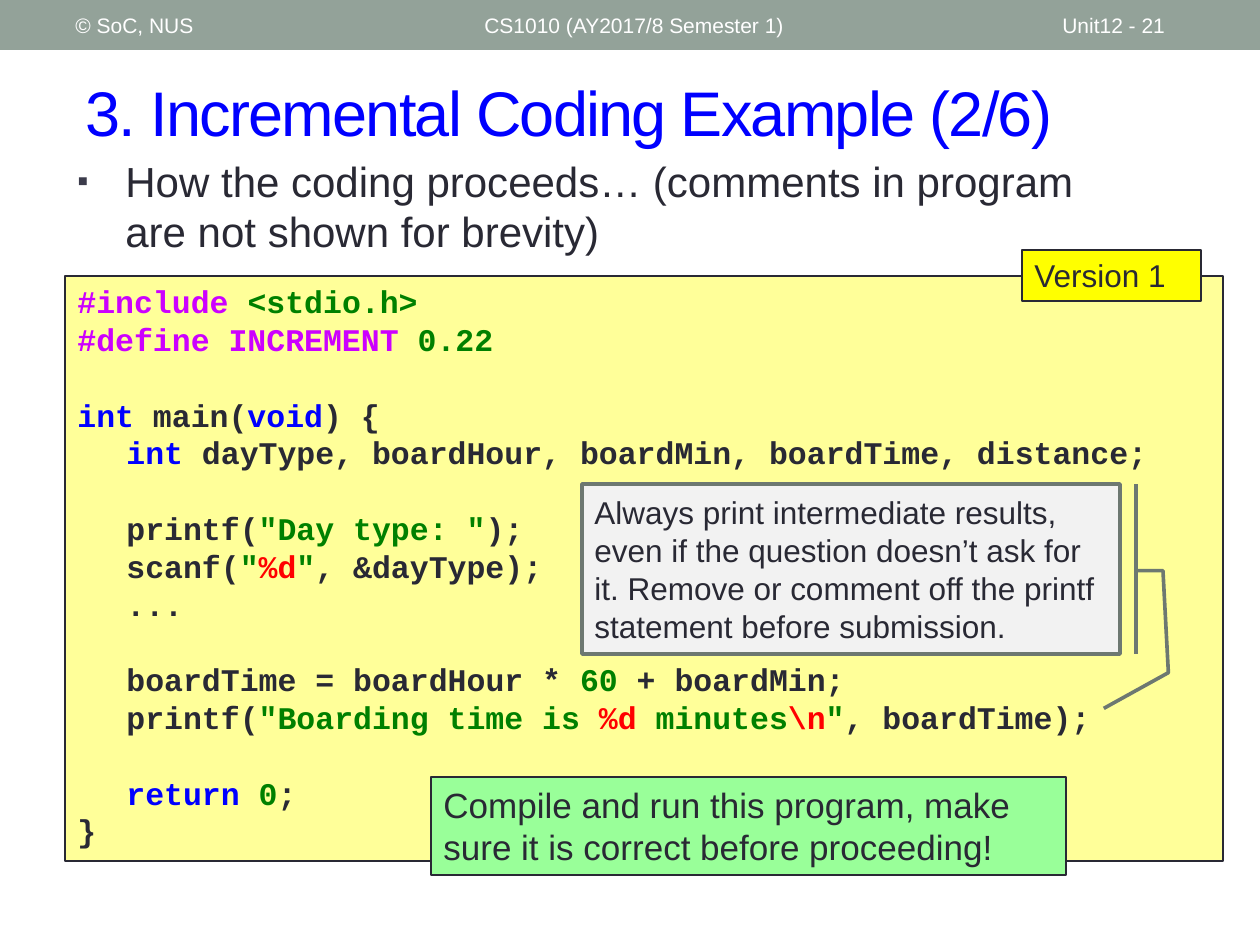
from lxml.etree import SubElement
from pptx import Presentation
from pptx.dml.color import RGBColor
from pptx.enum.shapes import MSO_SHAPE as Preset
from pptx.enum.text import MSO_ANCHOR as Anchor, MSO_AUTO_SIZE as AutoSize, PP_ALIGN as Align
from pptx.oxml.ns import qn
from pptx.util import Emu, Pt

SCALE = 914400 // 126
COLORS = {
    "band": "93A299", "white": "FFFFFF", "ink": "292934", "bullet": "3B3B4B",
    "code": "FFFF99", "version": "FFFF00", "advice": "F2F2F2", "rule": "6D7871",
    "action": "99FF99", "keyword": "0000FF", "directive": "CC00FF",
    "literal": "008000", "escape": "FF0000",
}
TAB_STOPS = (49, 95, 144)
BLANK_LINE = 21.6
CODE = [
    (0, [("#include ", "directive"), ("<stdio.h>", "literal")]),
    (0, [("#define INCREMENT ", "directive"), ("0.22", "literal")]),
    (1, [("int", "keyword"), (" main(", "ink"), ("void", "keyword"), (") {", "ink")]),
    (0, [("\t", "ink"), ("int", "keyword"),
         (" dayType, boardHour, boardMin, boardTime, distance;", "ink")]),
    (1, [("\tprintf(", "ink"), ('"Day type: "', "literal"), (");", "ink")]),
    (0, [("\tscanf(", "ink"), ('"', "literal"), ("%d", "escape"), ('"', "literal"),
         (", &dayType);", "ink")]),
    (0, [("\t...", "ink")]),
    (1, [("\tboardTime = boardHour * ", "ink"), ("60", "literal"), (" + boardMin;", "ink")]),
    (0, [("\tprintf(", "ink"), ('"Boarding time is ', "literal"), ("%d", "escape"),
         (" minutes", "literal"), ("\\n", "escape"), ('"', "literal"),
         (", boardTime);", "ink")]),
    (1, [("\t", "ink"), ("return ", "keyword"), ("0", "literal"), (";", "ink")]),
    (0, [("}", "ink")]),
]


def px(value):
    return Emu(value * SCALE)


def color(name):
    return RGBColor.from_string(COLORS[name])


def add_span(para, text, size, ink="ink", font="Arial", bold=False):
    span = para.add_run()
    span.text = text
    span.font.name = font
    span.font.size = Pt(size)
    span.font.bold = bold
    span.font.color.rgb = color(ink)
    return span


def prepare_frame(shape, anchor=Anchor.TOP):
    frame = shape.text_frame
    frame.word_wrap = True
    frame.auto_size = AutoSize.NONE
    frame.vertical_anchor = anchor
    frame.paragraphs[0].alignment = Align.LEFT
    return frame


def add_text(page, place, text, size, ink="ink", anchor=Anchor.TOP):
    box = page.shapes.add_textbox(*map(px, place))
    para = prepare_frame(box, anchor).paragraphs[0]
    add_span(para, text, size, ink)
    return para


def add_panel(page, place, fill, line=None, width=0.75, preset=Preset.RECTANGLE):
    panel = page.shapes.add_shape(preset, *map(px, place))
    panel.shadow.inherit = False
    panel.fill.solid()
    panel.fill.fore_color.rgb = color(fill)
    if line:
        panel.line.color.rgb = color(line)
        panel.line.width = Pt(width)
    else:
        panel.line.fill.background()
    return panel


def add_note(page, place, text, size, fill):
    panel = add_panel(page, place, fill, "ink")
    add_span(prepare_frame(panel).paragraphs[0], text, size)


def add_title(page, text):
    title = page.shapes.title
    title.left, title.top, title.width, title.height = map(px, (73, 53, 1155, 116))
    para = prepare_frame(title, Anchor.MIDDLE).paragraphs[0]
    span = add_span(para, text, 36, "keyword")
    span.font._element.set("spc", "-100")


def add_bullet(para):
    props = para._p.get_or_add_pPr()
    props.set("marL", str(px(48)))
    props.set("indent", str(px(-48)))
    shade = SubElement(props, qn("a:buClr"))
    SubElement(shade, qn("a:srgbClr"), val=COLORS["bullet"])
    SubElement(props, qn("a:buSzPct"), val="75000")
    SubElement(props, qn("a:buFont"), typeface="Arial")
    SubElement(props, qn("a:buChar"), char="▪")


def add_code(page, place):
    frame = prepare_frame(add_panel(page, place, "code", "ink"))
    for index, (gap, spans) in enumerate(CODE):
        para = frame.add_paragraph() if index else frame.paragraphs[0]
        para.alignment = Align.LEFT
        para.space_before = Pt(gap * BLANK_LINE)
        stops = SubElement(para._p.get_or_add_pPr(), qn("a:tabLst"))
        for stop in TAB_STOPS:
            SubElement(stops, qn("a:tab"), pos=str(px(stop)), algn="l")
        for text, ink in spans:
            add_span(para, text, 18, ink, "Courier New", True)


def add_callout(page, place, text, bends):
    callout = add_panel(page, place, "advice", "rule", 2.08,
                        Preset.LINE_CALLOUT_3_BORDER_AND_ACCENT_BAR)
    for index, bend in enumerate(bends):
        callout.adjustments[index] = bend
    add_span(prepare_frame(callout, Anchor.MIDDLE).paragraphs[0], text, 18)


def main():
    deck = Presentation()
    deck.slide_width, deck.slide_height = px(1260), px(945)
    page = deck.slides.add_slide(deck.slide_layouts[5])
    add_panel(page, (0, 0, 1260, 50), "band")
    add_title(page, "3. Incremental Coding Example (2/6)")
    for left, width, text in ((63, 399, "© SoC, NUS"),
                              (472, 567, "CS1010 (AY2017/8 Semester 1)"),
                              (1050, 147, "Unit12 - 21")):
        add_text(page, (left, 3, width, 45), text, 12, "white", Anchor.MIDDLE)
    add_bullet(add_text(
        page, (65, 149, 1090, 127),
        "How the coding proceeds… (comments in program are not shown for brevity)", 24))
    add_code(page, (65, 276, 1158, 585))
    add_note(page, (1022, 250, 179, 51), "Version 1", 18, "version")
    add_callout(
        page, (582, 484, 538, 170),
        "Always print intermediate results, even if the question doesn’t ask for it. "
        "Remove or comment off the printf statement before submission.",
        (0.51, 1.03, 0.51, 1.08, 1.11, 1.09, 1.32, 0.97))
    add_note(page, (431, 777, 635, 98),
             "Compile and run this program, make sure it is correct before proceeding!",
             20, "action")
    deck.save("out.pptx")


main()
